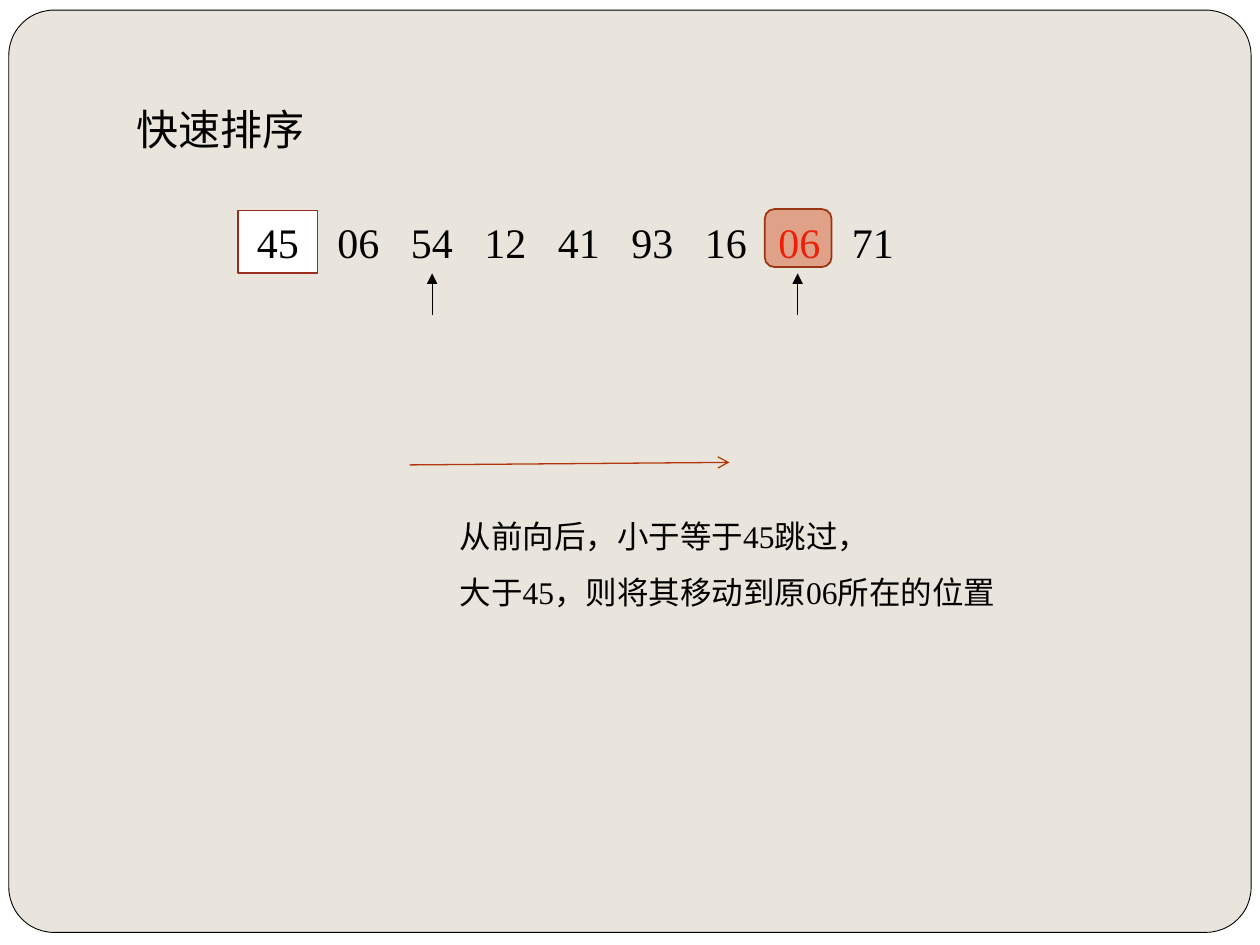
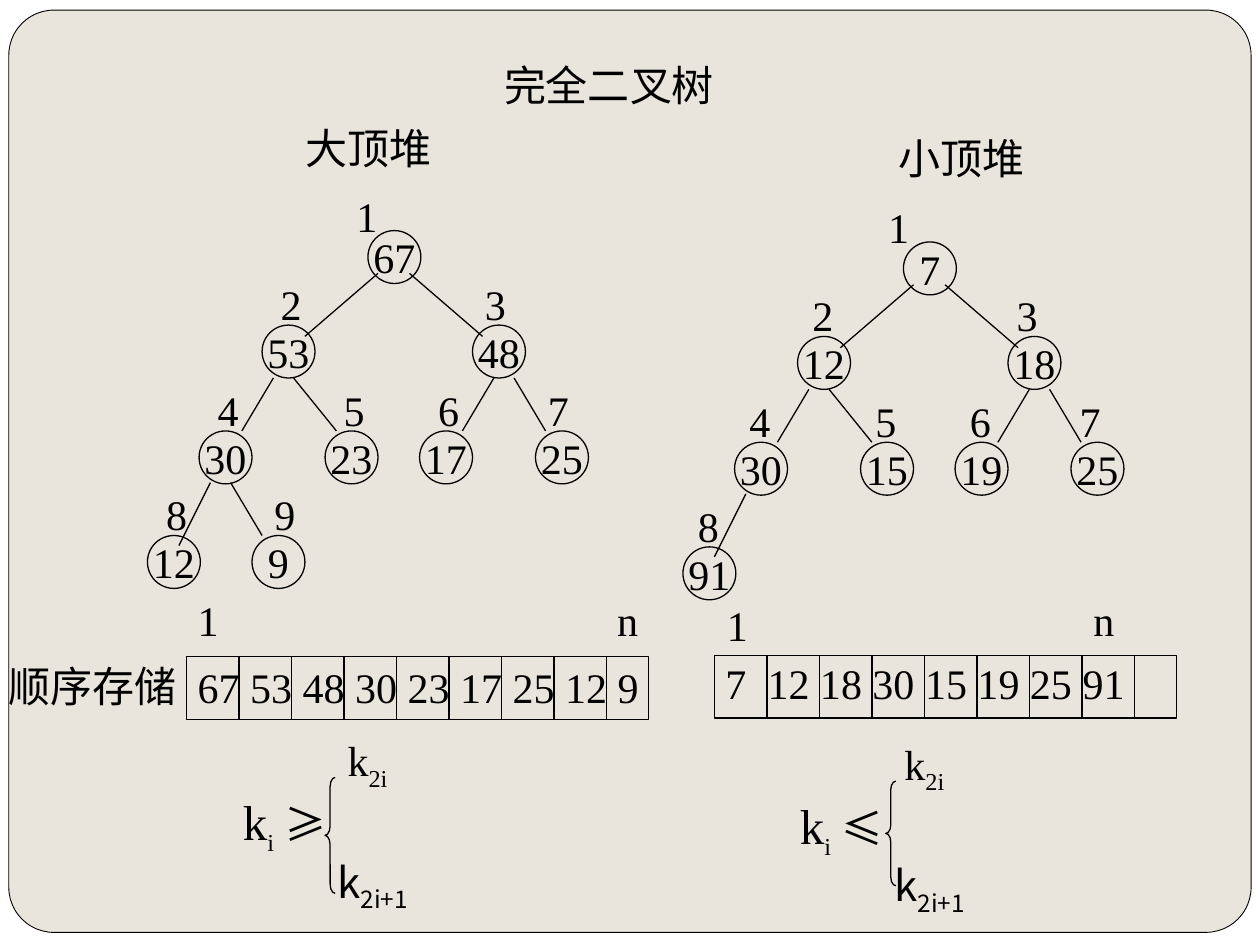
from collections import namedtuple

from lxml import etree
from pptx import Presentation
from pptx.dml.color import RGBColor
from pptx.enum import shapes as kinds, text as t
from pptx.oxml import ns
from pptx.util import Inches, Pt

SERIF, CJK = "Times New Roman", "Noto Sans CJK SC"
BLACK, WHITE, PANEL, RED = "000000", "FFFFFF", "E9E5DC", "FF0000"
RUST, RUST_EDGE, PIVOT_EDGE, SCAN = "D34817", "9C3511", "9B2D1F", "B1360B"
SHAPE = kinds.MSO_SHAPE
NUMBER_PITCH = 7 / 12
CELL, CELL_COUNT, ARRAY_WIDTH = 5 / 12, 9, 3.67
NODE = 0.42

# Heap positions 1 to 9; every place is relative to the corner of the root.
Place = namedtuple("Place", "x y index_x edge")
HEAP = [
    Place(0, 0, -0.19, None),
    Place(-0.84, 0.75, -0.79, (0.08, 0.34, -0.5, 0.84)),
    Place(0.83, 0.75, 0.83, (0.33, 0.34, 0.91, 0.84)),
    Place(-1.34, 1.59, -1.29, (-0.75, 1.17, -1, 1.59)),
    Place(-0.34, 1.59, -0.29, (-0.59, 1.17, -0.25, 1.59)),
    Place(0.41, 1.59, 0.46, (1, 1.17, 0.75, 1.59)),
    Place(1.33, 1.59, 1.33, (1.16, 1.17, 1.41, 1.59)),
    Place(-1.75, 2.42, -1.7, (-1.25, 2, -1.5, 2.5)),
    Place(-0.92, 2.42, -0.84, (-1.09, 2, -0.84, 2.42)),
]


def color(hex_code):
    return RGBColor.from_string(hex_code)


def sub(parent, tag, **attributes):
    """Append a DrawingML element to parent."""
    return etree.SubElement(parent, ns.qn(tag), attributes)


def add_run(paragraph, content, size=24, font=SERIF, fill=BLACK, baseline=0):
    run = paragraph.add_run()
    run.text = content
    run.font.size = Pt(size)
    run.font.name = font
    run.font.color.rgb = color(fill)
    properties = run.font._element
    sub(properties, "a:ea", typeface=CJK)
    if baseline:
        properties.set("baseline", str(baseline * 1000))


def write(frame, paragraphs, align=t.PP_ALIGN.LEFT, anchor=t.MSO_ANCHOR.TOP,
          wrap=False, spacing=None, indents=(), tabs=(), **style):
    """Fill a frame; a paragraph is a string or a list of (string, run style)."""
    frame.word_wrap = wrap
    frame.vertical_anchor = anchor
    for number, runs in enumerate(paragraphs):
        paragraph = frame.paragraphs[0] if number == 0 else frame.add_paragraph()
        paragraph.alignment = align
        if spacing:
            paragraph.line_spacing = spacing
        properties = paragraph._p.get_or_add_pPr()
        if indents:
            properties.set("marL", str(Inches(indents[number])))
        if tabs:
            tab_list = sub(properties, "a:tabLst")
            for stop in tabs:
                sub(tab_list, "a:tab", pos=str(Inches(stop)), algn="l")
        for content, own in [(runs, {})] if isinstance(runs, str) else runs:
            add_run(paragraph, content, **{**style, **own})


def add_text(shapes, place, *paragraphs, **style):
    box = shapes.add_textbox(*map(Inches, place))
    write(box.text_frame, paragraphs, **style)
    return box


def add_label(shapes, x, y, content, width=0.37):
    add_text(shapes, (x, y, width, 0.5), content)


def add_box(shapes, kind, place, fill=None, line=BLACK, width=0.75,
            adjust=(), alpha=None):
    box = shapes.add_shape(kind, *map(Inches, place))
    box.shadow.inherit = False
    for number, value in enumerate(adjust):
        box.adjustments[number] = value
    if fill:
        box.fill.solid()
        box.fill.fore_color.rgb = color(fill)
    else:
        box.fill.background()
    if alpha:
        tint = box.element.spPr.find(".//" + ns.qn("a:srgbClr"))
        sub(tint, "a:alpha", val=str(alpha * 1000))
    if line:
        box.line.color.rgb = color(line)
        box.line.width = Pt(width)
    else:
        box.line.fill.background()
    return box


def add_line(shapes, ends, fill=BLACK, head=None):
    line = shapes.add_connector(kinds.MSO_CONNECTOR.STRAIGHT, *map(Inches, ends))
    line.line.color.rgb = color(fill)
    line.line.width = Pt(0.75)
    properties = line.element.spPr
    if head:
        sub(properties.get_or_add_ln(), "a:tailEnd", type=head)
    sub(properties, "a:effectLst")


def add_title_slide(presentation, title, place):
    slide = presentation.slides.add_slide(presentation.slide_layouts[5])
    holder = slide.shapes.title
    holder.left, holder.top, holder.width, holder.height = map(Inches, place)
    write(holder.text_frame, [title], wrap=True)
    holder.text_frame.auto_size = t.MSO_AUTO_SIZE.NONE
    holder.text_frame.margin_right = 0
    return slide


def decorate_master(presentation, slide):
    """Build the rounded panel on a slide and move it to the master."""
    master = presentation.slide_master
    master.background.fill.solid()
    master.background.fill.fore_color.rgb = color(PANEL)
    sheet = add_box(slide.shapes, SHAPE.RECTANGLE, (0, 0, 10, 7.5), WHITE, None)
    panel = add_box(slide.shapes, SHAPE.ROUNDED_RECTANGLE, (0.07, 0.08, 9.86, 7.32),
                    PANEL, width=0.5, adjust=[0.049])
    for position, shape in enumerate((sheet, panel), start=2):
        master.shapes.element.insert(position, shape.element)


def add_heap(slide, root_x, root_y, values, index_shift=0):
    """Draw a complete binary tree with the position above each node."""
    shapes = slide.shapes.add_group_shape().shapes
    for value, place in zip(values, HEAP):
        node = add_box(shapes, SHAPE.OVAL,
                       (root_x + place.x, root_y + place.y, NODE, NODE))
        write(node.text_frame, [str(value)], align=t.PP_ALIGN.CENTER,
              anchor=t.MSO_ANCHOR.MIDDLE)
        if place.edge:
            x1, y1, x2, y2 = place.edge
            add_line(shapes, (root_x + x1, root_y + y1, root_x + x2, root_y + y2))
    for index, (_, place) in enumerate(zip(values, HEAP), start=1):
        lift = 0.37 if index == 1 else 0.42
        add_label(shapes, root_x + place.index_x + index_shift,
                  root_y + place.y - lift, str(index))


def add_array(slide, x, y, text_y, values, first_stop=CELL):
    """Draw the storage cells, with the values set on tab stops."""
    shapes = slide.shapes.add_group_shape().shapes
    add_box(shapes, SHAPE.RECTANGLE, (x, y, ARRAY_WIDTH, 0.5))
    stops = [first_stop + CELL * step for step in range(len(values) - 1)]
    row = add_text(shapes, (x - 0.01, text_y, 3.7, 0.5), "\t".join(map(str, values)),
                   wrap=True, tabs=stops)
    row.text_frame.margin_right = 0
    for step in range(1, CELL_COUNT):
        divider = x + CELL * step
        add_line(shapes, (divider, y, divider, y + 0.5))


def add_heap_rule(slide, x, y, sign, brace):
    shapes = slide.shapes.add_group_shape().shapes
    low = {"baseline": -25}
    add_text(shapes, (x, y, 1.78, 1.38),
             [("k", {}), ("2i", low)],
             [("k", {"size": 28}), ("i", low), (" ", {}), (sign, {"font": CJK})],
             [("k", {"font": CJK}), ("2i+1", {"font": CJK, **low})],
             wrap=True, indents=(0.83, 0, 0.75))
    height = brace[3]
    add_box(shapes, SHAPE.LEFT_BRACE, brace, adjust=[height, 0.5])


def fill_quick_sort(slide):
    shapes = slide.shapes
    add_text(shapes, (2.58, 1.67, 4.66, 0.5),
             [("06\t54\t12\t41\t93\t16\t", {}), ("06", {"fill": RED}), ("\t71", {})],
             wrap=True, tabs=[NUMBER_PITCH * step for step in range(1, 8)])
    for pointer_x in (6.33, 3.43):
        add_line(shapes, (pointer_x, 2.5, pointer_x, 2.17), head="triangle")
    add_box(shapes, SHAPE.ROUNDED_RECTANGLE, (6.07, 1.66, 0.53, 0.46),
            RUST, RUST_EDGE, 1, alpha=43)
    pivot = add_box(shapes, SHAPE.RECTANGLE, (1.89, 1.67, 0.63, 0.5),
                    WHITE, PIVOT_EDGE, 1)
    write(pivot.text_frame, ["45"], align=t.PP_ALIGN.CENTER,
          anchor=t.MSO_ANCHOR.MIDDLE)
    add_line(shapes, (3.25, 3.69, 5.79, 3.67), SCAN, "arrow")
    add_text(shapes, (3.55, 3.9, 4.82, 1.01), "从前向后，小于等于45跳过，",
             "大于45，则将其移动到原06所在的位置", wrap=True, spacing=1.5, size=18)


def fill_heaps(slide):
    shapes = slide.shapes
    max_heap = [67, 53, 48, 30, 23, 17, 25, 12, 9]
    min_heap = [7, 12, 18, 30, 15, 19, 25, 91]
    add_heap(slide, 2.92, 1.83, max_heap)
    add_heap(slide, 7.17, 1.92, min_heap, index_shift=-0.03)
    add_label(shapes, 2.33, 0.92, "大顶堆", 1.2)
    add_label(shapes, 7.03, 1, "小顶堆", 1.2)
    add_heap_rule(slide, 1.83, 5.78, "≥", (2.58, 6.17, 0.08, 0.92))
    add_heap_rule(slide, 6.25, 5.81, "≤", (7.03, 6.2, 0.08, 0.83))
    add_array(slide, 1.48, 5.21, 5.2, max_heap)
    add_array(slide, 5.67, 5.2, 5.17, min_heap, first_stop=1 / 3)
    for x, y, mark in ((1.47, 4.67, "1"), (4.8, 4.67, "n"),
                       (5.67, 4.71, "1"), (8.58, 4.67, "n")):
        add_label(shapes, x, y, mark)
    add_label(shapes, -0.03, 5.19, "顺序存储", 1.53)


def main():
    presentation = Presentation()
    presentation.slide_width, presentation.slide_height = Inches(10), Inches(7.5)
    quick_sort = add_title_slide(presentation, "快速排序", (0.98, 0.77, 1.53, 0.5))
    decorate_master(presentation, quick_sort)
    fill_quick_sort(quick_sort)
    heaps = add_title_slide(presentation, "完全二叉树", (3.9, 0.42, 1.87, 0.5))
    fill_heaps(heaps)
    presentation.save("out.pptx")


if __name__ == "__main__":
    main()
